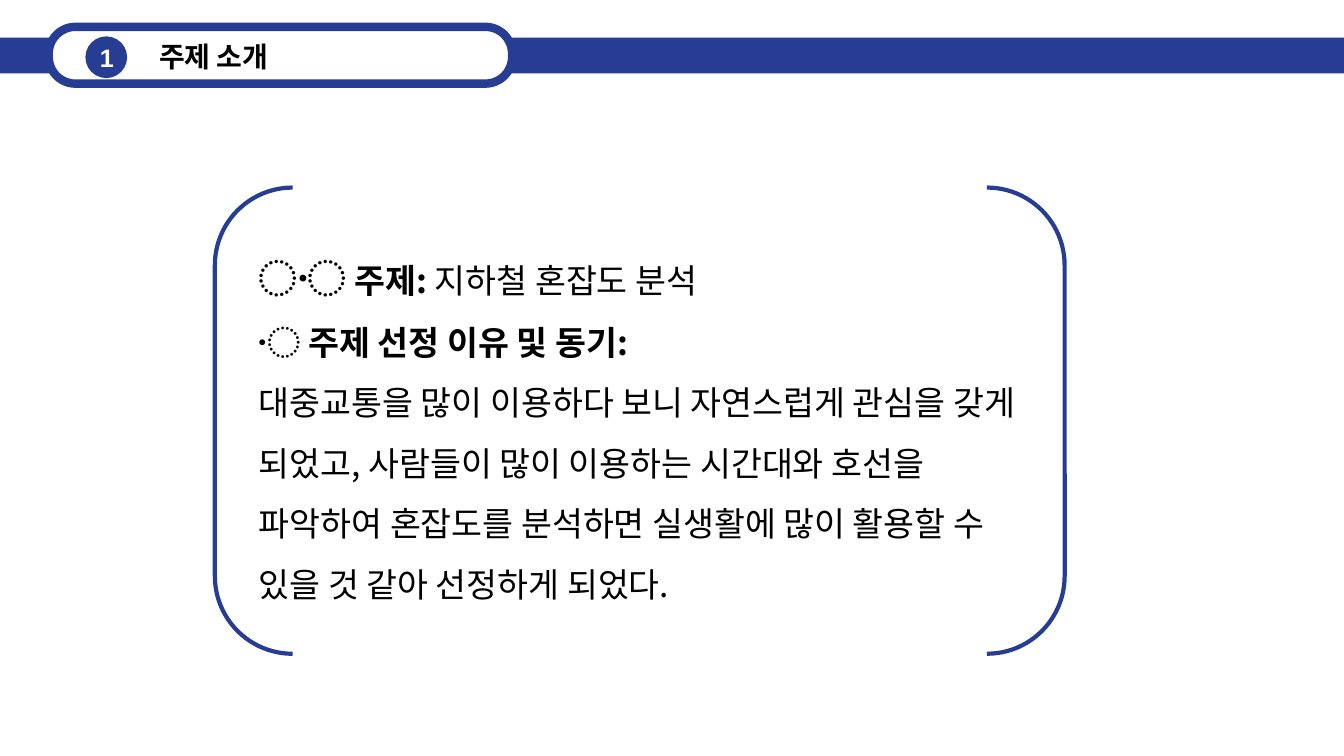
"""Build the topic introduction slide."""
from dataclasses import dataclass
from typing import Optional

from lxml import etree
from pptx import Presentation
from pptx import util as u
from pptx.dml.color import RGBColor
from pptx.enum import shapes, text
from pptx.oxml import ns

NAVY = RGBColor(0x27, 0x3D, 0x94)
WHITE = RGBColor(0xFF, 0xFF, 0xFF)
BLACK = RGBColor(0, 0, 0)
LATIN = "Arial"
HANGUL = "Noto Sans CJK KR"
KIND = shapes.MSO_SHAPE


@dataclass
class Box:
    left: float
    top: float
    width: float
    height: float

    def place(self) -> tuple:
        return tuple(u.Pt(n) for n in (self.left, self.top, self.width, self.height))


@dataclass
class Form:
    kind: KIND
    box: Box
    fill: Optional[RGBColor] = None
    line: float = 0
    round: Optional[float] = None


@dataclass
class Run:
    words: str
    size: float
    bold: bool = False
    color: RGBColor = BLACK
    face: str = HANGUL
    end: bool = False


@dataclass
class Label:
    box: Box
    paras: list[list[Run]]
    space: float = 1
    wrap: bool = True


FORMS = [
    Form(KIND.RECTANGLE, Box(0, 26.8, 960, 25.6), NAVY),
    Form(KIND.ROUNDED_RECTANGLE, Box(34.8, 19.2, 331, 40.6), WHITE, 6, 0.47),
    Form(KIND.OVAL, Box(61, 26, 29.8, 29.8), NAVY),
    Form(KIND.DOUBLE_BRACKET, Box(153.5, 134, 607, 333), line=3),
]

LABELS = [
    Label(Box(106.5, 24.5, 286, 31.5), [[Run("주제 소개", 20, True, face=LATIN)]]),
    Label(Box(64.2, 26.8, 17.5, 29), [[Run("1", 18, True, WHITE, LATIN)]], wrap=False),
    Label(
        Box(177.8, 161.5, 558, 298),
        [
            [
                Run("〮", 28, True),
                Run(" 주제: ", 24, True),
                Run("지하철 혼잡도 분석", 24, end=True),
                Run("〮 주제 선정 이유 및 동기:", 24, True),
            ],
            [
                Run(
                    "대중교통을 많이 이용하다 보니 자연스럽게 관심을 갖게 되었고, "
                    "사람들이 많이 이용하는 시간대와 호선을 파악하여 혼잡도를 분석하면 "
                    "실생활에 많이 활용할 수 있을 것 같아 선정하게 되었다.",
                    24,
                )
            ],
        ],
        1.5,
    ),
]


def draw(slide, form: Form) -> None:
    shape = slide.shapes.add_shape(form.kind, *form.box.place())
    shape.shadow.inherit = False
    if form.round is not None:
        shape.adjustments[0] = form.round
    if form.fill is None:
        shape.fill.background()
    else:
        shape.fill.solid()
        shape.fill.fore_color.rgb = form.fill
    if form.line:
        shape.line.color.rgb = NAVY
        shape.line.width = u.Pt(form.line)
    else:
        shape.line.fill.background()


def add(para, item: Run) -> None:
    run = para.add_run()
    run.text = item.words
    font = run.font
    font.name, font.size, font.bold = item.face, u.Pt(item.size), item.bold
    font.color.rgb = item.color
    east = etree.Element(ns.qn("a:ea"), typeface=HANGUL)
    run._r.rPr.find(ns.qn("a:latin")).addnext(east)
    if item.end:
        para.add_line_break()


def write(slide, label: Label) -> None:
    frame = slide.shapes.add_textbox(*label.box.place()).text_frame
    frame.word_wrap = label.wrap
    frame.auto_size = text.MSO_AUTO_SIZE.SHAPE_TO_FIT_TEXT
    for i, items in enumerate(label.paras):
        para = frame.add_paragraph() if i else frame.paragraphs[0]
        para.line_spacing = label.space
        for item in items:
            add(para, item)


def main() -> None:
    deck = Presentation()
    deck.slide_width, deck.slide_height = u.Pt(960), u.Pt(540)
    slide = deck.slides.add_slide(deck.slide_layouts[6])
    for form in FORMS:
        draw(slide, form)
    for label in LABELS:
        write(slide, label)
    deck.save("out.pptx")


if __name__ == "__main__":
    main()
